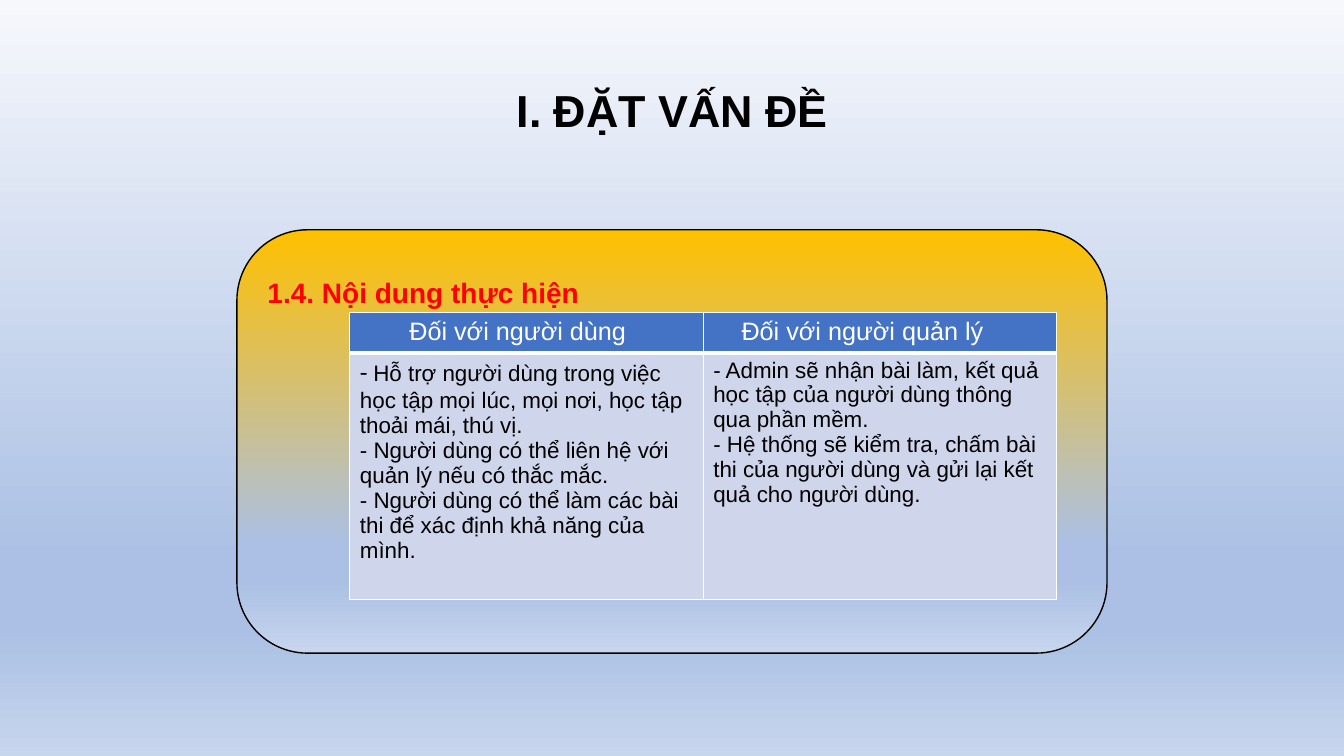
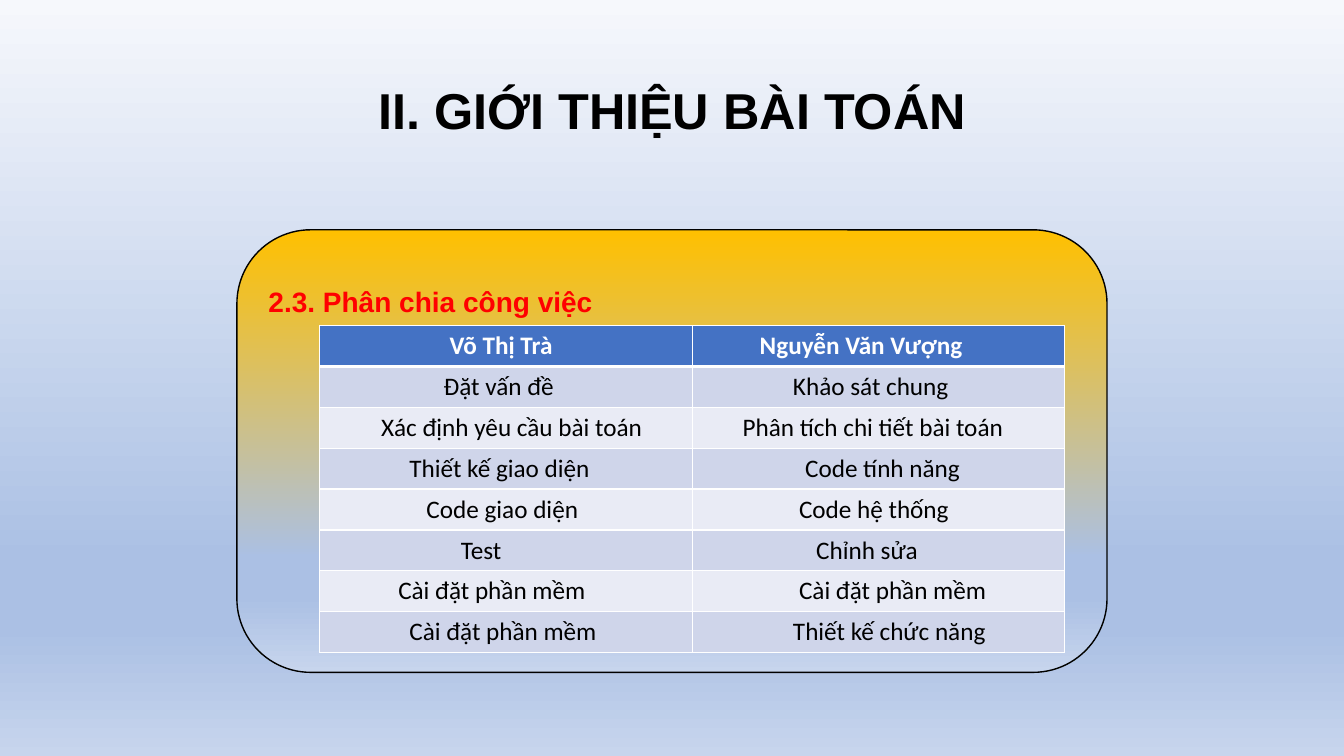
from dataclasses import dataclass

from lxml import etree
from pptx import Presentation
from pptx.dml.color import RGBColor
from pptx.enum import shapes, text
from pptx.oxml import ns
from pptx.util import Inches, Pt


@dataclass(frozen=True)
class TextStyle:
    """Font, size, colour and weight of a run."""

    font: str
    size: int
    color: str
    bold: bool = False


@dataclass(frozen=True)
class Box:
    """A region of the slide in inches."""

    left: float
    top: float
    width: float
    height: float

    def lengths(self):
        """Return the four sides as slide lengths."""
        return [Inches(side) for side in (self.left, self.top, self.width, self.height)]


class Theme:
    """Colours, type styles and places shared by the slides."""

    black, white, red = "000000", "FFFFFF", "FF0000"
    header_fill = "4472C4"
    band_fills = ("CFD5EA", "E9EBF5")
    haze = ((74, "ABC0E4"), (83, "ABC0E4"), (100, "C7D5ED"))
    backdrop = ((0, "F6F8FC"), *haze)
    panel = ((0, "FFC000"), *haze)
    title_box = Box(0.92, 0.4, 11.5, 1.45)
    heading = TextStyle("Arial", 20, red, True)
    column_head = TextStyle("Arial", 18, white)
    column_body = TextStyle("Arial", 16, black)
    dash = TextStyle("Calibri", 18, black)
    person = TextStyle("Calibri", 18, white, True)
    task = TextStyle("Calibri", 18, black)
    rule, header_rule = 1, 3
    row_height = 0.4


def style_runs(paragraph, style):
    """Apply a text style to every run of a paragraph."""
    for run in paragraph.runs:
        run.font.name = style.font
        run.font.size = Pt(style.size)
        run.font.bold = style.bold
        run.font.color.rgb = RGBColor.from_string(style.color)


def fill_gradient(fill, element, stops):
    """Fill from top to bottom with the given colour stops."""
    fill.gradient()
    fill.gradient_angle = 270
    stop_list = element.xpath(".//a:gradFill/a:gsLst")[0]
    for stop in list(stop_list):
        stop_list.remove(stop)
    for percent, color in stops:
        stop = etree.SubElement(stop_list, ns.qn("a:gs"), pos=str(percent * 1000))
        etree.SubElement(stop, ns.qn("a:srgbClr"), val=color)


def add_titled_slide(deck, title, size):
    """Add a slide with the shared title style."""
    slide = deck.slides.add_slide(deck.slide_layouts[5])
    heading = slide.shapes.title
    heading.left, heading.top, heading.width, heading.height = Theme.title_box.lengths()
    frame = heading.text_frame
    frame.text = title
    frame.vertical_anchor = text.MSO_ANCHOR.MIDDLE
    paragraph = frame.paragraphs[0]
    paragraph.alignment = text.PP_ALIGN.CENTER
    paragraph.line_spacing = 0.9
    style_runs(paragraph, TextStyle("Arial", size, Theme.black, True))
    return slide


def add_panel(slide, box, heading, inset):
    """Add the rounded panel with its heading at the top."""
    panel = slide.shapes.add_shape(shapes.MSO_SHAPE.ROUNDED_RECTANGLE, *box.lengths())
    panel.shadow.inherit = False
    fill_gradient(panel.fill, panel.element, Theme.panel)
    panel.line.color.rgb = RGBColor.from_string(Theme.black)
    panel.line.width = Pt(1)
    frame = panel.text_frame
    frame.text = heading
    frame.word_wrap = True
    frame.vertical_anchor = text.MSO_ANCHOR.TOP
    frame.margin_top = Inches(inset)
    frame.paragraphs[0].alignment = text.PP_ALIGN.LEFT
    style_runs(frame.paragraphs[0], Theme.heading)


def rule_cell(cell, top, bottom):
    """Draw white borders around a cell."""
    properties = cell._tc.get_or_add_tcPr()
    widths = (("lnL", Theme.rule), ("lnR", Theme.rule), ("lnT", top), ("lnB", bottom))
    for place, (side, width) in enumerate(widths):
        border = etree.Element(ns.qn(f"a:{side}"), w=str(Pt(width)))
        solid = etree.SubElement(border, ns.qn("a:solidFill"))
        etree.SubElement(solid, ns.qn("a:srgbClr"), val=Theme.white)
        properties.insert(place, border)


def write_cell(cell, lines, indent, style):
    """Write a cell's lines at a left indent."""
    cell.text_frame.text = lines
    for paragraph in cell.text_frame.paragraphs:
        paragraph._p.get_or_add_pPr().set("marL", str(Inches(indent)))
        style_runs(paragraph, style)


def add_grid(slide, box, rows, head_style, body_style):
    """Add a table with a header row and banded rows of (text, indent) cells."""
    frame = slide.shapes.add_table(len(rows), len(rows[0]), *box.lengths())
    grid = frame.table
    grid.rows[0].height = Inches(Theme.row_height)
    body_height = (box.height - Theme.row_height) / (len(rows) - 1)
    for number, row in enumerate(rows):
        is_head = number == 0
        if not is_head:
            grid.rows[number].height = Inches(body_height)
        color = Theme.header_fill if is_head else Theme.band_fills[(number - 1) % 2]
        for column, (lines, indent) in enumerate(row):
            cell = grid.cell(number, column)
            write_cell(cell, lines, indent, head_style if is_head else body_style)
            cell.fill.solid()
            cell.fill.fore_color.rgb = RGBColor.from_string(color)
            rule_cell(
                cell,
                Theme.header_rule if number == 1 else Theme.rule,
                Theme.header_rule if is_head else Theme.rule,
            )
    return grid


def add_content_slide(deck):
    """Build the slide on what users and managers get."""
    slide = add_titled_slide(deck, "I. ĐẶT VẤN ĐỀ", 32)
    add_panel(slide, Box(2.35, 2.28, 8.63, 4.2), "1.4. Nội dung thực hiện", 0.25)
    first_benefit = (
        "Hỗ trợ người dùng trong việc học tập mọi lúc, mọi nơi, "
        "học tập thoải mái, thú vị."
    )
    user_benefits = "\n".join((
        first_benefit,
        "- Người dùng có thể liên hệ với quản lý nếu có thắc mắc.",
        "- Người dùng có thể làm các bài thi để xác định khả năng của mình.",
    ))
    manager_benefits = "\n".join((
        "- Admin sẽ nhận bài làm, kết quả học tập của người dùng thông qua phần mềm.",
        "- Hệ thống sẽ kiểm tra, chấm bài thi của người dùng "
        "và gửi lại kết quả cho người dùng.",
    ))
    rows = (
        (("Đối với người dùng", 0.49), ("Đối với người quản lý", 0.28)),
        ((user_benefits, 0), (manager_benefits, 0)),
    )
    grid = add_grid(slide, Box(3.47, 3.1, 7.01, 2.85), rows,
                    Theme.column_head, Theme.column_body)
    opening = grid.cell(1, 0).text_frame.paragraphs[0]
    opening.text = "- "
    style_runs(opening, Theme.dash)
    benefit = opening.add_run()
    benefit.text = first_benefit
    benefit.font.name = Theme.column_body.font
    benefit.font.size = Pt(Theme.column_body.size)
    benefit.font.color.rgb = RGBColor.from_string(Theme.column_body.color)


def add_work_slide(deck):
    """Build the slide on the division of work."""
    slide = add_titled_slide(deck, "II. GIỚI THIỆU BÀI TOÁN", 36)
    add_panel(slide, Box(2.35, 2.28, 8.63, 4.39), "2.3. Phân chia công việc", 0.33)
    rows = (
        (("Võ Thị Trà", 1.19), ("Nguyễn Văn Vượng", 0.57)),
        (("Đặt vấn đề", 1.13), ("Khảo sát chung", 0.9)),
        (("Xác định yêu cầu bài toán", 0.51), ("Phân tích chi tiết bài toán", 0.4)),
        (("Thiết kế giao diện", 0.79), ("Code tính năng", 1.02)),
        (("Code giao diện", 0.96), ("Code hệ thống", 0.96)),
        (("Test", 1.3), ("Chỉnh sửa", 1.13)),
        (("Cài đặt phần mềm", 0.68), ("Cài đặt phần mềm", 0.96)),
        (("Cài đặt phần mềm", 0.79), ("Thiết kế chức năng", 0.9)),
    )
    add_grid(slide, Box(3.17, 3.23, 7.39, len(rows) * Theme.row_height), rows,
             Theme.person, Theme.task)


def main():
    """Build and save the deck."""
    deck = Presentation()
    deck.slide_width, deck.slide_height = Inches(13.33), Inches(7.5)
    master = deck.slide_master
    fill_gradient(master.background.fill, master.element.cSld, Theme.backdrop)
    add_content_slide(deck)
    add_work_slide(deck)
    deck.save("out.pptx")


if __name__ == "__main__":
    main()
